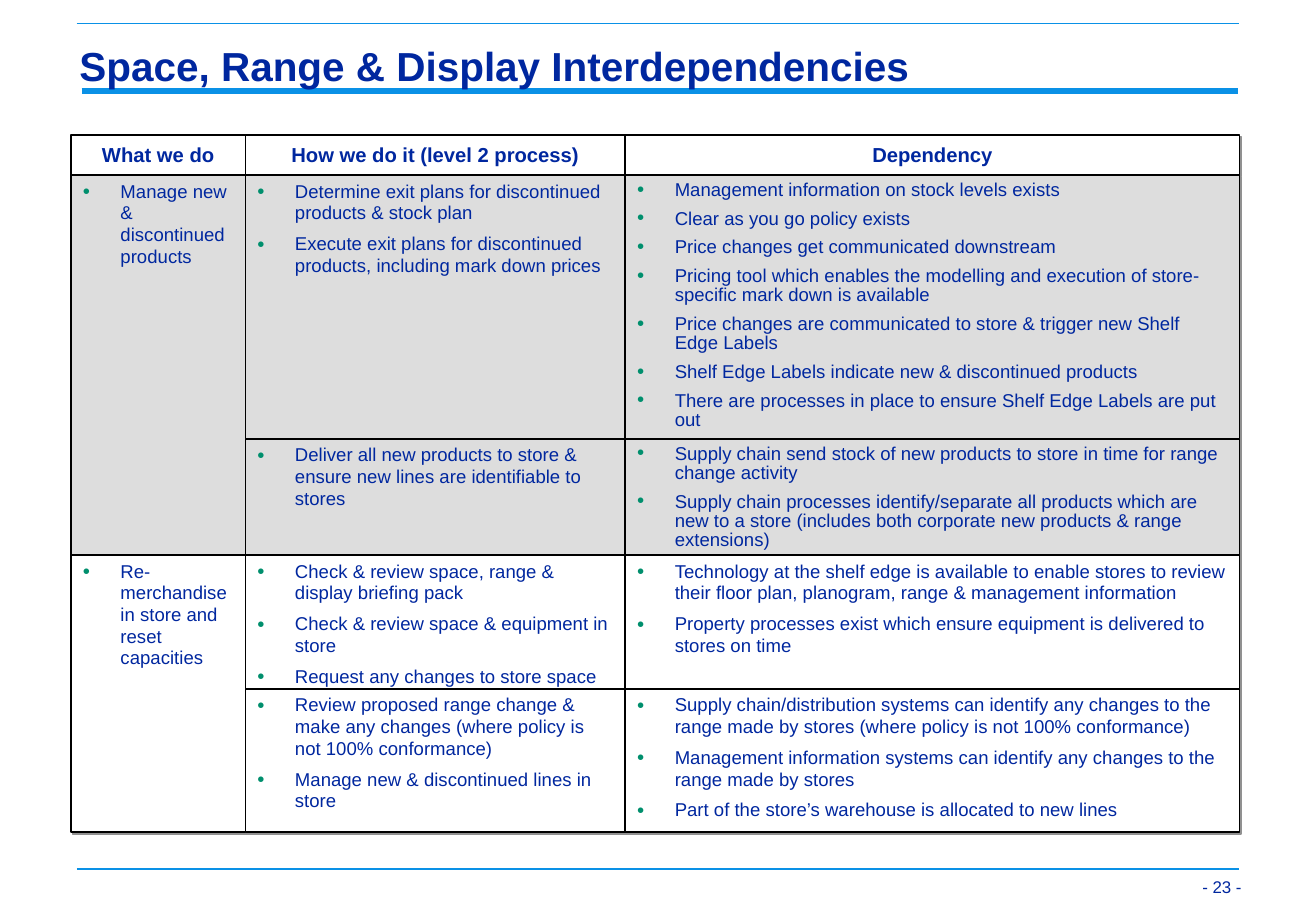
"""Build the Space, Range & Display interdependencies slide."""
from dataclasses import dataclass

from lxml import etree
from pptx import Presentation
from pptx.dml.color import RGBColor
from pptx.enum.shapes import MSO_CONNECTOR, MSO_SHAPE
from pptx.enum.text import MSO_ANCHOR, MSO_AUTO_SIZE, PP_ALIGN
from pptx.oxml.ns import qn
from pptx.util import Inches, Pt

STRAIGHT = MSO_CONNECTOR.STRAIGHT
RECTANGLE = MSO_SHAPE.RECTANGLE
TOP, MIDDLE, BOTTOM = MSO_ANCHOR.TOP, MSO_ANCHOR.MIDDLE, MSO_ANCHOR.BOTTOM
LEFT, CENTER, RIGHT = PP_ALIGN.LEFT, PP_ALIGN.CENTER, PP_ALIGN.RIGHT
FIXED_SIZE = MSO_AUTO_SIZE.NONE

SLIDE_WIDTH, SLIDE_HEIGHT = Inches(10.84), Inches(7.5)
COLUMN_EDGES = (5.39, 18.65, 47.51, 94.2)
ROW_EDGES = (14.81, 19.22, 48.15, 60.93, 75.6, 91.35)


@dataclass(frozen=True)
class Theme:
    """Colours and type sizes of the slide."""
    font: str = "Arial"
    ink: str = "00279F"
    rule: str = "0A91E6"
    bullet: str = "008F6D"
    border: str = "000000"
    shadow: str = "919191"
    shaded: str = "DDDDDD"
    plain: str = "FFFFFF"
    title_size: float = 24
    header_size: float = 12
    body_size: float = 11
    page_size: float = 10


THEME = Theme()


@dataclass(frozen=True)
class Rule:
    """A horizontal rule in percent of the slide."""
    start: float
    end: float
    top: float
    weight: float
    colour: str = THEME.rule


@dataclass(frozen=True)
class Entry:
    """A bulleted box, placed by grid row and column."""
    row: int
    column: int
    items: tuple[str, ...]
    row_span: int = 1
    line_spacing: float = 0.97


RULES = (
    Rule(6.2, 94.05, 10, 4),
    Rule(5.85, 94.14, 2.57, 1, THEME.border),
    Rule(5.85, 94.14, 2.57, 1),
    Rule(5.85, 94.14, 95.36, 1),
)
HEADERS = ("What we do", "How we do it (level 2 process)", "Dependency")
SHADED_ROWS = (1, 2)
ENTRIES = (
    Entry(1, 0, ("Manage new & discontinued products",), row_span=2),
    Entry(1, 1, (
        "Determine exit plans for discontinued products & stock plan",
        "Execute exit plans for discontinued products, including mark down prices",
    )),
    Entry(1, 2, (
        "Management information on stock levels exists",
        "Clear as you go policy exists",
        "Price changes get communicated downstream",
        "Pricing tool which enables the modelling and execution of store-specific mark down is available",
        "Price changes are communicated to store & trigger new Shelf Edge Labels",
        "Shelf Edge Labels indicate new & discontinued products",
        "There are processes in place to ensure Shelf Edge Labels are put out",
    ), line_spacing=0.87),
    Entry(2, 1, ("Deliver all new products to store & ensure new lines are identifiable to stores",)),
    Entry(2, 2, (
        "Supply chain send stock of new products to store in time for range change activity",
        "Supply chain processes identify/separate all products which are new to a store "
        "(includes both corporate new products & range extensions)",
    ), line_spacing=0.87),
    Entry(3, 0, ("Re-merchandise in store and reset capacities",), row_span=2),
    Entry(3, 1, (
        "Check & review space, range & display briefing pack",
        "Check & review space & equipment in store",
        "Request any changes to store space",
    )),
    Entry(3, 2, (
        "Technology at the shelf edge is available to enable stores to review their floor plan, "
        "planogram, range & management information",
        "Property processes exist which ensure equipment is delivered to stores on time",
    )),
    Entry(4, 1, (
        "Review proposed range change & make any changes (where policy is not 100% conformance)",
        "Manage new & discontinued lines in store",
    )),
    Entry(4, 2, (
        "Supply chain/distribution systems can identify any changes to the range made by stores "
        "(where policy is not 100% conformance)",
        "Management information systems can identify any changes to the range made by stores",
        "Part of the store’s warehouse is allocated to new lines",
    )),
)


def across(percent: float) -> int:
    """Turn a percentage of the slide width into a length."""
    return round(SLIDE_WIDTH * percent / 100)


def down(percent: float) -> int:
    """Turn a percentage of the slide height into a length."""
    return round(SLIDE_HEIGHT * percent / 100)


def write(paragraph, text: str, size: float, bold: bool = False,
          alignment: PP_ALIGN = LEFT, line_spacing: float = 0.97) -> None:
    """Add one themed run to a paragraph."""
    paragraph.alignment = alignment
    paragraph.line_spacing = line_spacing
    paragraph.space_before = Pt(0)
    run = paragraph.add_run()
    run.text = text
    run.font.name, run.font.size, run.font.bold = THEME.font, Pt(size), bold
    run.font.color.rgb = RGBColor.from_string(THEME.ink)


def add_bullet(paragraph) -> None:
    """Give a paragraph a hanging coloured bullet."""
    properties = paragraph._p.get_or_add_pPr()
    properties.set("marL", str(Inches(0.31)))
    properties.set("indent", str(-Inches(0.31)))
    colour = etree.SubElement(properties, qn("a:buClr"))
    etree.SubElement(colour, qn("a:srgbClr"), val=THEME.bullet)
    etree.SubElement(properties, qn("a:buSzPct"), val="110000")
    etree.SubElement(properties, qn("a:buFont"), typeface=THEME.font)
    etree.SubElement(properties, qn("a:buChar"), char="•")


def add_rule(slide, rule: Rule) -> None:
    """Draw a horizontal rule without a shadow."""
    connector = slide.shapes.add_connector(
        STRAIGHT, across(rule.start), down(rule.top), across(rule.end), down(rule.top))
    connector.line.color.rgb = RGBColor.from_string(rule.colour)
    connector.line.width = Pt(rule.weight)
    etree.SubElement(connector._element.spPr, qn("a:effectLst"))


def set_frame(shape, anchor: MSO_ANCHOR, side: float, edge: float):
    """Set wrapping, anchor and margins in inches, and return the text frame."""
    frame = shape.text_frame
    frame.word_wrap, frame.auto_size, frame.vertical_anchor = True, FIXED_SIZE, anchor
    frame.margin_left = frame.margin_right = Inches(side)
    frame.margin_top = frame.margin_bottom = Inches(edge)
    return frame


def add_box(slide, row: int, column: int, row_span: int, anchor: MSO_ANCHOR):
    """Draw a bordered grid box with a hard shadow and return its text frame."""
    left, top = across(COLUMN_EDGES[column]), down(ROW_EDGES[row])
    box = slide.shapes.add_shape(
        RECTANGLE, left, top, across(COLUMN_EDGES[column + 1]) - left,
        down(ROW_EDGES[row + row_span]) - top)
    box.fill.solid()
    box.fill.fore_color.rgb = RGBColor.from_string(
        THEME.shaded if row in SHADED_ROWS else THEME.plain)
    box.line.color.rgb = RGBColor.from_string(THEME.border)
    box.line.width = Pt(1)
    box.shadow.inherit = False
    effects = box._element.spPr.find(qn("a:effectLst"))
    shadow = etree.SubElement(effects, qn("a:outerShdw"), dist=str(Pt(1.4)), dir="2700000")
    etree.SubElement(shadow, qn("a:srgbClr"), val=THEME.shadow)
    return set_frame(box, anchor, 0.1, 0.05)


def add_entry(slide, entry: Entry) -> None:
    """Draw a box with its bulleted items."""
    frame = add_box(slide, entry.row, entry.column, entry.row_span, TOP)
    for index, item in enumerate(entry.items):
        paragraph = frame.add_paragraph() if index else frame.paragraphs[0]
        add_bullet(paragraph)
        write(paragraph, item, THEME.body_size, line_spacing=entry.line_spacing)
        paragraph.space_before = Pt(5.5 if index else 0)


def main() -> None:
    """Build and save the presentation."""
    presentation = Presentation()
    presentation.slide_width, presentation.slide_height = SLIDE_WIDTH, SLIDE_HEIGHT
    slide = presentation.slides.add_slide(presentation.slide_layouts[5])
    for rule in RULES:
        add_rule(slide, rule)
    page_number = slide.shapes.add_textbox(across(89.45), down(93.6), across(5.54), down(5.2))
    write(set_frame(page_number, BOTTOM, 0.07, 0.03).paragraphs[0], "- 23 -",
          THEME.page_size, alignment=RIGHT, line_spacing=1.0)
    title = slide.shapes.title
    title.left, title.top = across(COLUMN_EDGES[0]), down(4.48)
    title.width, title.height = across(88.84), down(5.87)
    write(set_frame(title, BOTTOM, 0.07, 0.03).paragraphs[0],
          "Space, Range & Display Interdependencies", THEME.title_size, True)
    slide.shapes._spTree.append(title._element)
    for column, header in enumerate(HEADERS):
        frame = add_box(slide, 0, column, 1, MIDDLE)
        write(frame.paragraphs[0], header, THEME.header_size, True, CENTER)
    for entry in ENTRIES:
        add_entry(slide, entry)
    presentation.save("out.pptx")


if __name__ == "__main__":
    main()
